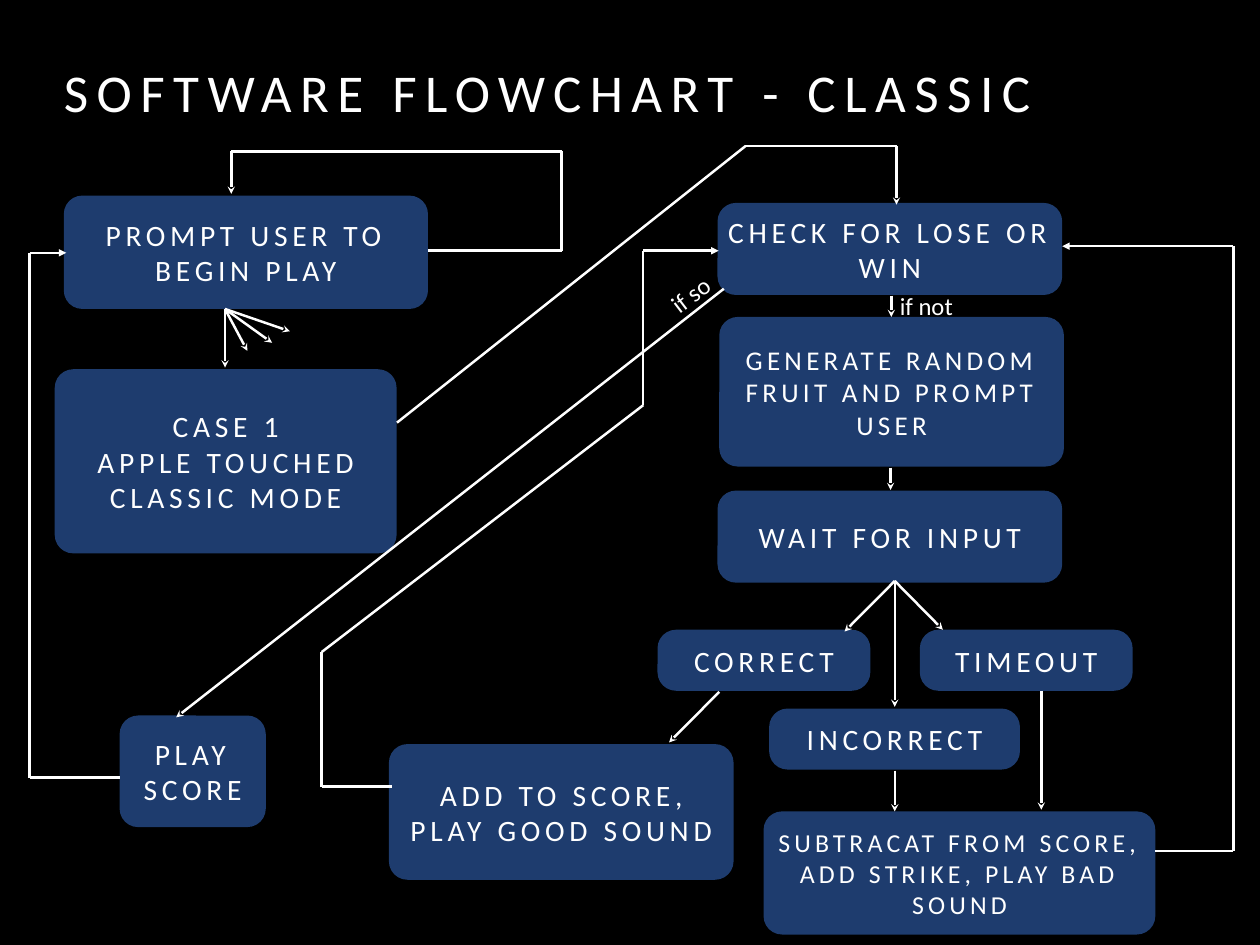
from lxml import etree
from pptx import Presentation
from pptx import util as u
from pptx.dml.color import RGBColor
from pptx.enum import shapes, text
from pptx.oxml import ns

BLACK = RGBColor(0x00, 0x00, 0x00)
WHITE = RGBColor(0xFF, 0xFF, 0xFF)
NAVY = RGBColor(0x1E, 0x3C, 0x6E)


class Flowchart:
    """Draws on one slide; all lengths are centimetres."""

    font = "Calibri"
    tracking = 0.16  # letter spacing as a share of the text size
    radius = 0.53
    inset = 0.15
    line_width = u.Pt(2)

    def __init__(self, slide):
        self.slide = slide
        fill = slide.background.fill
        fill.solid()
        fill.fore_color.rgb = BLACK

    def set_text(self, shape, wording, size, align, anchor, inset, tracking, wrap=True):
        frame = shape.text_frame
        frame.text = wording
        frame.word_wrap = wrap
        frame.vertical_anchor = anchor
        frame.margin_left = frame.margin_right = u.Cm(inset)
        frame.margin_top = frame.margin_bottom = u.Cm(inset)
        for para in frame.paragraphs:
            para.alignment = align
            for span in para.runs:
                span.font.name = self.font
                span.font.size = u.Pt(size)
                span.font.color.rgb = WHITE
                if tracking:
                    span.font._element.set("spc", str(round(size * tracking * 100)))

    def title(self, wording, left, top, width, height, size):
        box = self.slide.shapes.add_textbox(*map(u.Cm, (left, top, width, height)))
        self.set_text(box, wording, size, text.PP_ALIGN.LEFT,
                      text.MSO_ANCHOR.TOP, 0, self.tracking)

    def step(self, wording, left, top, width, height, size=24):
        box = self.slide.shapes.add_shape(
            shapes.MSO_SHAPE.ROUNDED_RECTANGLE, *map(u.Cm, (left, top, width, height)))
        box.adjustments[0] = self.radius / min(width, height)
        box.shadow.inherit = False
        box.fill.solid()
        box.fill.fore_color.rgb = NAVY
        box.line.fill.background()
        self.set_text(box, wording, size, text.PP_ALIGN.CENTER,
                      text.MSO_ANCHOR.MIDDLE, self.inset, self.tracking)

    def label(self, wording, left, top, width, height, rotation=0):
        box = self.slide.shapes.add_textbox(*map(u.Cm, (left, top, width, height)))
        box.rotation = rotation
        self.set_text(box, wording, 20, text.PP_ALIGN.CENTER,
                      text.MSO_ANCHOR.MIDDLE, self.inset, 0, wrap=False)

    def segment(self, start, end, head=None):
        line = self.slide.shapes.add_connector(
            shapes.MSO_CONNECTOR.STRAIGHT, *map(u.Cm, (*start, *end)))
        line.line.color.rgb = WHITE
        line.line.width = self.line_width
        properties = line._element.spPr
        if head:
            outline = properties.find(ns.qn("a:ln"))
            etree.SubElement(outline, ns.qn("a:tailEnd"), type=head)
        etree.SubElement(properties, ns.qn("a:effectLst"))

    def route(self, *points, head="stealth"):
        """Joins the points with lines and puts an arrowhead on the last."""
        last = len(points) - 2
        for i, (start, end) in enumerate(zip(points, points[1:])):
            self.segment(start, end, head if i == last else None)

    def fan(self, start, *ends):
        for end in ends:
            self.route(start, end)


def main():
    deck = Presentation()
    deck.slide_width, deck.slide_height = u.Cm(36.12), u.Cm(27.1)
    chart = Flowchart(deck.slides.add_slide(deck.slide_layouts[6]))

    chart.title("SOFTWARE FLOWCHART - CLASSIC", 1.83, 1.7, 32.46, 2.39, 43.2)

    # Steps
    for step in (
        ("PROMPT USER TO BEGIN PLAY", 1.83, 5.61, 10.44, 3.25),
        ("CASE 1\nAPPLE TOUCHED\nCLASSIC MODE", 1.57, 10.59, 9.8, 5.28),
        ("CHECK FOR LOSE OR WIN", 20.57, 5.82, 9.88, 2.64),
        ("GENERATE RANDOM FRUIT AND PROMPT USER", 20.62, 9.09, 9.88, 4.29, 22),
        ("WAIT FOR INPUT", 20.57, 14.07, 9.88, 2.64),
        ("CORRECT", 18.85, 18.06, 6.1, 1.75),
        ("INCORRECT", 22.05, 20.32, 7.19, 1.75),
        ("TIMEOUT", 26.37, 18.06, 6.1, 1.75),
        ("ADD TO SCORE,\nPLAY GOOD SOUND", 11.15, 21.34, 9.88, 3.89),
        ("SUBTRACAT FROM SCORE, ADD STRIKE, PLAY BAD SOUND",
         21.89, 23.27, 11.23, 3.53, 21),
        ("PLAY SCORE", 3.43, 20.52, 4.19, 3.2),
    ):
        chart.step(*step)

    # Prompt: repeat, and branch into the cases
    chart.route((12.27, 7.19), (16.1, 7.19), (16.1, 4.34), (6.63, 4.34), (6.63, 5.56))
    chart.fan((6.45, 8.86), (6.45, 10.54), (7.09, 10.06), (7.8, 9.83), (8.31, 9.5))

    # Case 1 to the check, then down to the input
    chart.route((11.38, 12.12), (21.37, 4.19), (25.7, 4.19), (25.7, 5.87))
    chart.route((25.55, 8.48), (25.55, 9.09))
    chart.route((25.53, 13.41), (25.53, 14.05))

    # Outcomes of the input
    chart.fan((25.65, 16.66), (24.21, 18.11), (25.65, 20.27), (27.03, 18.06))
    chart.route((20.62, 19.84), (19.18, 21.29))
    chart.route((25.65, 22.1), (25.65, 23.27))
    chart.route((29.85, 19.81), (29.85, 23.22))

    # Back to the check after scoring
    chart.route((11.23, 22.56), (9.22, 22.56), (9.22, 18.7), (18.44, 11.62),
                (18.44, 7.19), (20.6, 7.19), head="triangle")
    chart.route((33.12, 24.41), (35.36, 24.41), (35.36, 7.06), (30.45, 7.06),
                head="triangle")

    # End of the game and back to the prompt
    chart.route((20.75, 8.28), (5.05, 20.57))
    chart.route((3.43, 22.3), (0.85, 22.3), (0.85, 7.25), (1.9, 7.25),
                head="triangle")

    # Labels of the check
    chart.label("if not", 25.6, 8.2, 1.91, 1.14)
    chart.label("if so", 19, 7.87, 1.57, 1.14, rotation=322.6)

    deck.save("out.pptx")


if __name__ == "__main__":
    main()
